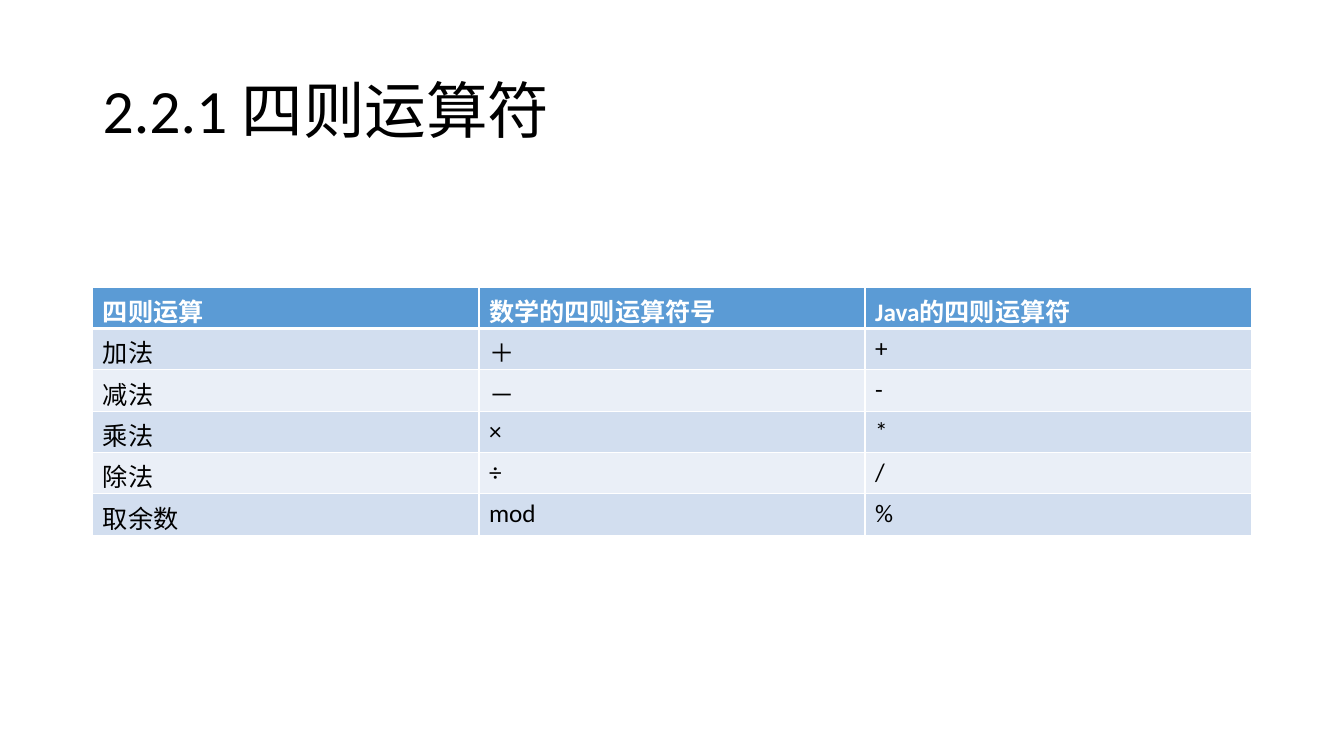
from lxml import etree
from pptx import Presentation
from pptx.dml.color import RGBColor
from pptx.enum.text import MSO_ANCHOR
from pptx.oxml.ns import qn
from pptx.util import Inches, Pt

MIDDLE = MSO_ANCHOR.MIDDLE
BLACK = RGBColor(0x00, 0x00, 0x00)
WHITE = RGBColor(0xFF, 0xFF, 0xFF)
HEADER_BLUE = RGBColor(0x5B, 0x9B, 0xD5)
BANDS = (RGBColor(0xD2, 0xDE, 0xEF), RGBColor(0xEA, 0xEF, 0xF7))

OPERATORS = (
    ("四则运算", "数学的四则运算符号", "Java的四则运算符"),
    ("加法", "＋", "+"),
    ("减法", "－", "-"),
    ("乘法", "×", "*"),
    ("除法", "÷", "/"),
    ("取余数", "mod", "%"),
)


class SlideBuilder:
    """Places elements on a grid of three columns inside the side margins."""

    FONT = "Calibri"
    WIDTH, HEIGHT = Inches(13.33), Inches(7.5)
    MARGIN = Inches(0.92)
    COLUMN = (WIDTH - 2 * MARGIN) // 3
    ROW = Inches(0.41)

    def __init__(self, presentation):
        presentation.slide_width = self.WIDTH
        presentation.slide_height = self.HEIGHT
        self.slide = presentation.slides.add_slide(presentation.slide_layouts[6])

    def area(self, row, columns, rows):
        """Return left, top, width and height of an area given in grid units."""
        return (self.MARGIN, int(row * self.ROW),
                columns * self.COLUMN, int(rows * self.ROW))

    def add_text(self, paragraph, text, size, color, bold=False):
        run = paragraph.add_run()
        run.text = text
        run.font.name = self.FONT
        run.font.size = Pt(size)
        run.font.bold = bold
        run.font.color.rgb = color

    def title(self, text, row, columns, rows):
        frame = self.slide.shapes.add_textbox(*self.area(row, columns, rows)).text_frame
        frame.word_wrap = True
        frame.vertical_anchor = MIDDLE
        heading = frame.paragraphs[0]
        heading.line_spacing = 0.9
        self.add_text(heading, text, 44, BLACK)

    def borders(self, cell, bottom):
        """Draw white cell edges, 1 pt wide except for the bottom one."""
        properties = cell._tc.get_or_add_tcPr()
        for edge, width in (("L", 1), ("R", 1), ("T", 1), ("B", bottom)):
            line = etree.SubElement(properties, qn(f"a:ln{edge}"), w=str(Pt(width)))
            fill = etree.SubElement(line, qn("a:solidFill"))
            etree.SubElement(fill, qn("a:srgbClr"), val=str(WHITE))

    def table(self, records, row):
        columns = len(records[0])
        table = self.slide.shapes.add_table(
            len(records), columns, *self.area(row, columns, len(records))).table
        for r, record in enumerate(records):
            header = r == 0
            for c, text in enumerate(record):
                cell = table.cell(r, c)
                self.borders(cell, 3 if header else 1)
                cell.fill.solid()
                cell.fill.fore_color.rgb = HEADER_BLUE if header else BANDS[(r - 1) % 2]
                self.add_text(cell.text_frame.paragraphs[0], text, 18,
                              WHITE if header else BLACK, header)


def main():
    presentation = Presentation()
    builder = SlideBuilder(presentation)
    builder.title("2.2.1 四则运算符", row=0.98, columns=3, rows=3.54)
    builder.table(OPERATORS, row=6.95)
    presentation.save("out.pptx")


if __name__ == "__main__":
    main()
